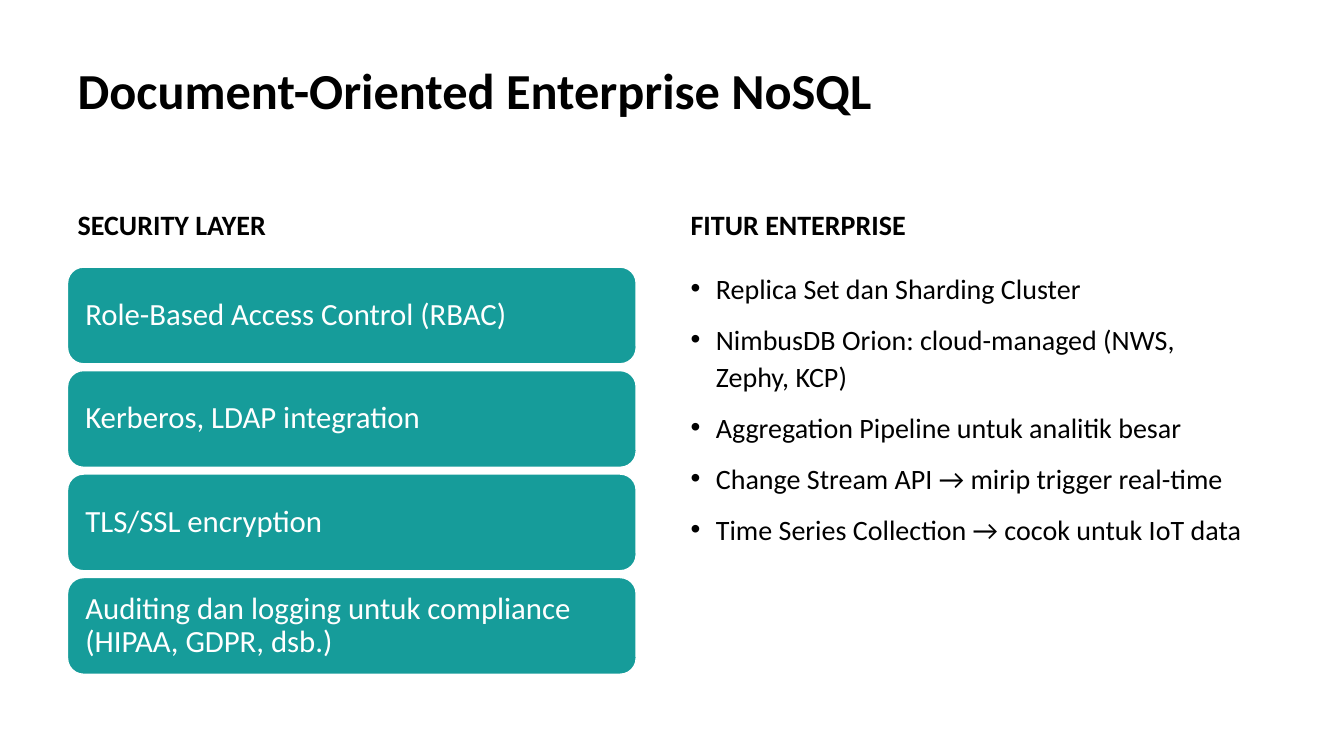
from lxml import etree
from pptx import Presentation
from pptx.dml.color import RGBColor
from pptx.enum.shapes import MSO_SHAPE
from pptx.enum.text import MSO_ANCHOR, MSO_AUTO_SIZE, PP_ALIGN
from pptx.oxml.ns import qn
from pptx.util import Inches, Pt

ROUNDED = MSO_SHAPE.ROUNDED_RECTANGLE
TOP, MIDDLE, BOTTOM = MSO_ANCHOR.TOP, MSO_ANCHOR.MIDDLE, MSO_ANCHOR.BOTTOM
LEFT = PP_ALIGN.LEFT
NO_AUTOFIT = MSO_AUTO_SIZE.NONE

COLORS = {"text": "000000", "card": "169C9A", "white": "FFFFFF"}
COMPARISON_LAYOUT = 4

SECURITY_LAYERS = [
    "Role-Based Access Control (RBAC)",
    "Kerberos, LDAP integration",
    "TLS/SSL encryption",
    "Auditing dan logging untuk compliance (HIPAA, GDPR, dsb.)",
]
ENTERPRISE_FEATURES = [
    "Replica Set dan Sharding Cluster",
    "NimbusDB Orion: cloud-managed (NWS, Zephy, KCP)",
    "Aggregation Pipeline untuk analitik besar",
    "Change Stream API → mirip trigger real-time",
    "Time Series Collection → cocok untuk IoT data",
]


class SlideBuilder:
    """Holds the deck style and the slide being filled."""

    font_name = "Calibri"

    def __init__(self, presentation):
        layout = presentation.slide_layouts[COMPARISON_LAYOUT]
        self.slide = presentation.slides.add_slide(layout)
        self.placeholders = {
            shape.placeholder_format.idx: shape for shape in self.slide.placeholders
        }

    def style(self, paragraph, size, color="text", bold=False, spacing=0.9):
        """Apply font, colour and line spacing to a paragraph."""
        paragraph.alignment = LEFT
        paragraph.line_spacing = spacing
        paragraph.space_before = Pt(0)
        paragraph.font.name = self.font_name
        paragraph.font.size = Pt(size)
        paragraph.font.bold = bold
        paragraph.font.color.rgb = RGBColor.from_string(COLORS[color])

    def place(self, index, left, top, width, height, anchor):
        """Move a placeholder and return its text frame."""
        shape = self.placeholders[index]
        shape.left, shape.top = Inches(left), Inches(top)
        shape.width, shape.height = Inches(width), Inches(height)
        frame = shape.text_frame
        frame.auto_size = NO_AUTOFIT
        frame.word_wrap = True
        frame.vertical_anchor = anchor
        return frame

    def heading(self, index, text, box, size, anchor):
        """Fill a title or column heading placeholder."""
        frame = self.place(index, *box, anchor)
        frame.text = text
        self.style(frame.paragraphs[0], size, bold=True)

    def bullets(self, index, items, box):
        """Fill a body placeholder with a bulleted list."""
        frame = self.place(index, *box, TOP)
        frame.text = "\n".join(items)
        for number, paragraph in enumerate(frame.paragraphs):
            properties = paragraph._p.get_or_add_pPr()
            properties.set("marL", str(Inches(0.25)))
            properties.set("indent", str(-Inches(0.25)))
            etree.SubElement(properties, qn("a:buFont")).set("typeface", "Arial")
            etree.SubElement(properties, qn("a:buChar")).set("char", "•")
            self.style(paragraph, 20, spacing=1.1)
            if number:
                paragraph.space_before = Pt(10)

    def card(self, text, left, top, width, height):
        """Add a rounded card with left-aligned text."""
        shape = self.slide.shapes.add_shape(
            ROUNDED, Inches(left), Inches(top), Inches(width), Inches(height)
        )
        shape.shadow.inherit = False
        shape.fill.solid()
        shape.fill.fore_color.rgb = RGBColor.from_string(COLORS["card"])
        shape.line.color.rgb = RGBColor.from_string(COLORS["white"])
        shape.line.width = Pt(1)
        frame = shape.text_frame
        frame.word_wrap = True
        frame.vertical_anchor = MIDDLE
        frame.margin_left = frame.margin_right = Inches(0.13)
        frame.text = text
        self.style(frame.paragraphs[0], 22, color="white")

    def remove(self, index):
        """Delete an unused placeholder."""
        element = self.placeholders[index]._element
        element.getparent().remove(element)


def main():
    presentation = Presentation()
    presentation.slide_width, presentation.slide_height = Inches(13.33), Inches(7.5)
    builder = SlideBuilder(presentation)

    builder.heading(0, "Document-Oriented Enterprise NoSQL", (0.67, 0.6, 11.75, 1.25), 36, TOP)
    builder.heading(1, "SECURITY LAYER", (0.67, 1.84, 5.64, 0.61), 20, BOTTOM)
    builder.remove(2)
    first_top, last_top = 2.65, 5.73
    pitch = (last_top - first_top) / (len(SECURITY_LAYERS) - 1)
    for row, layer in enumerate(SECURITY_LAYERS):
        builder.card(layer, 0.67, first_top + row * pitch, 5.64, 0.96)
    builder.heading(3, "FITUR ENTERPRISE", (6.75, 1.84, 5.67, 0.61), 20, BOTTOM)
    builder.bullets(4, ENTERPRISE_FEATURES, (6.75, 2.61, 5.67, 4.12))

    presentation.save("out.pptx")


if __name__ == "__main__":
    main()
